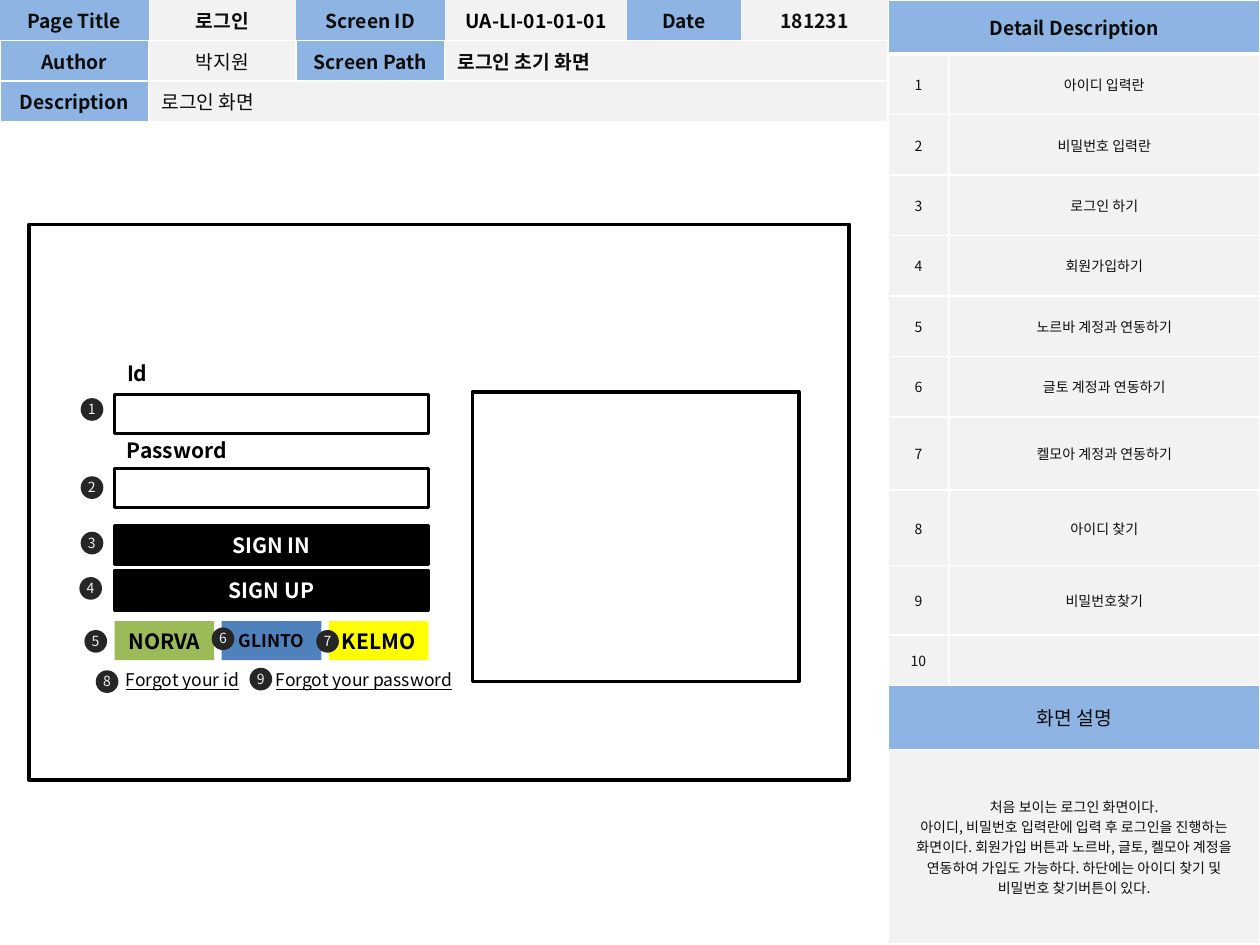
"""Build the storyboard slide that specifies a login screen."""
from lxml import etree
from pptx import Presentation
from pptx import util as u
from pptx.dml.color import RGBColor
from pptx.enum import shapes, text
from pptx.oxml import ns

FONT = "Noto Sans CJK KR"
BLACK = RGBColor(0x00, 0x00, 0x00)
WHITE = RGBColor(0xFF, 0xFF, 0xFF)
INK = RGBColor(0x0D, 0x0D, 0x0D)
BADGE = RGBColor(0x26, 0x26, 0x26)
PALE = RGBColor(0xF2, 0xF2, 0xF2)
HEADER = RGBColor(0x8E, 0xB4, 0xE3)
GREEN = RGBColor(0x9B, 0xBB, 0x59)
BLUE = RGBColor(0x4F, 0x81, 0xBD)
YELLOW = RGBColor(0xFF, 0xFF, 0x00)

CENTER, LEFT = text.PP_ALIGN.CENTER, text.PP_ALIGN.LEFT
NO_TABLE_STYLE = "{2D5ABB26-0587-4C30-8999-92F81FD0307C}"
PANEL_X = 7.05
FORM_X, FORM_W, FIELD_H = 0.91, 2.49, 0.31
BUTTON_W, BUTTON_STEP = 0.79, 0.85

PAGE_INFO = [
    [("Page Title", 1), ("로그인", 1), ("Screen ID", 1),
     ("UA-LI-01-01-01", 1), ("Date", 1), ("181231", 1)],
    [("Author", 1), ("박지원", 1), ("Screen Path", 1), ("로그인 초기 화면", 3)],
    [("Description", 1), ("로그인 화면", 5)],
]
PLAIN_VALUES = ("박지원", "로그인 화면")
DETAILS = ["아이디 입력란", "비밀번호 입력란", "로그인 하기", "회원가입하기",
           "노르바 계정과 연동하기", "글토 계정과 연동하기", "켈모아 계정과 연동하기",
           "아이디 찾기", "비밀번호찾기", ""]
SUMMARY = ("처음 보이는 로그인 화면이다.\n"
           "아이디, 비밀번호 입력란에 입력 후 로그인을 진행하는 화면이다. "
           "회원가입 버튼과 노르바, 글토, 켈모아 계정을 연동하여 가입도 가능하다. "
           "하단에는 아이디 찾기 및 비밀번호 찾기버튼이 있다.")
BADGES = [(0.64, 3.16), (0.64, 3.78), (0.64, 4.22), (0.63, 4.58), (0.67, 5),
          (1.68, 4.98), (2.51, 5), (0.76, 5.32), (1.98, 5.3)]


def write(frame, words, size, color=BLACK, bold=False, align=LEFT, underline=None):
    """Put formatted words in a text frame."""
    frame.text = words
    for paragraph in frame.paragraphs:
        paragraph.alignment = align
        for run in paragraph.runs:
            font = run.font
            font.size, font.bold, font.underline = u.Pt(size), bold, underline
            font.name, font.color.rgb = FONT, color
            east_asian = etree.SubElement(font._element, ns.qn("a:ea"))
            east_asian.set("typeface", FONT)
        if not paragraph.runs:
            end = etree.SubElement(paragraph._p, ns.qn("a:endParaRPr"))
            end.set("sz", str(size * 100))


def add_border(cell, sides, points):
    """Draw white lines on the named sides of a cell."""
    properties = cell._tc.get_or_add_tcPr()
    for index, side in enumerate(sides):
        line = etree.Element(ns.qn(f"a:ln{side}"), w=str(u.Pt(points)))
        fill = etree.SubElement(line, ns.qn("a:solidFill"))
        etree.SubElement(fill, ns.qn("a:srgbClr"), val=str(WHITE))
        properties.insert(index, line)


def add_grid(slide, x, widths, heights):
    """Add an unstyled table with the given columns and rows."""
    table = slide.shapes.add_table(
        len(heights), len(widths), u.Inches(x), 0,
        u.Inches(sum(widths)), u.Inches(sum(heights))).table
    table._tbl.tblPr[0].text = NO_TABLE_STYLE
    table.first_row = table.horz_banding = False
    for column, width in zip(table.columns, widths):
        column.width = u.Inches(width)
    for row, height in zip(table.rows, heights):
        row.height = u.Inches(height)
    return table


def fill_cell(table, row, col, words, fill, size, span=1, sides="LRTB", **style):
    """Merge, fill, border and write one table cell."""
    cell = table.cell(row, col)
    if span > 1:
        cell.merge(table.cell(row, col + span - 1))
    for part in range(col, col + span):
        piece = table.cell(row, part)
        piece.fill.solid()
        piece.fill.fore_color.rgb = fill
        add_border(piece, sides, 1)
    cell.vertical_anchor = text.MSO_ANCHOR.MIDDLE
    write(cell.text_frame, words, size, **style)


def add_page_info(slide):
    """Add the table of page details across the top."""
    table = add_grid(slide, 0, [1.18, 1.17, 1.18, 1.45, 0.9, 1.17], [0.31, 0.32, 0.32])
    for row, entries in enumerate(PAGE_INFO):
        for col, (words, span) in enumerate(entries):
            fill_cell(table, row, col, words, PALE if col % 2 else HEADER, 11, span,
                      sides="LRTB" if row else "B",
                      color=BLACK if words.startswith("UA-") else INK,
                      bold=words not in PLAIN_VALUES,
                      align=LEFT if span > 1 else CENTER)


def add_details(slide):
    """Add the numbered description panel on the right."""
    heights = [0.43] + [0.48] * 6 + [0.58, 0.6, 0.55, 0.4, 0.51, 1.54]
    table = add_grid(slide, PANEL_X, [0.48, 2.47], heights)
    style = {"color": INK, "align": CENTER}
    fill_cell(table, 0, 0, "Detail Description", HEADER, 11, 2, sides="LRT", bold=True, **style)
    for col in range(2):
        add_border_below = table.cell(0, col)
        properties = add_border_below._tc.get_or_add_tcPr()
        line = etree.Element(ns.qn("a:lnB"), w=str(u.Pt(3)))
        fill = etree.SubElement(line, ns.qn("a:solidFill"))
        etree.SubElement(fill, ns.qn("a:srgbClr"), val=str(WHITE))
        properties.insert(3, line)
    for number, words in enumerate(DETAILS, 1):
        fill_cell(table, number, 0, str(number), PALE, 8, **style)
        fill_cell(table, number, 1, words, PALE, 8, sides="LRTB", **style)
    fill_cell(table, 11, 0, "화면 설명", HEADER, 11, 2, **style)
    fill_cell(table, 12, 0, SUMMARY, PALE, 8, 2, **style)


def add_box(parent, x, y, w, h, fill=None, outlined=True, kind=shapes.MSO_SHAPE.RECTANGLE):
    """Add a flat shape with an optional fill and black outline."""
    box = parent.shapes.add_shape(kind, *map(u.Inches, (x, y, w, h)))
    box.shadow.inherit = False
    if fill is None:
        box.fill.background()
    else:
        box.fill.solid()
        box.fill.fore_color.rgb = fill
    if outlined:
        box.line.color.rgb, box.line.width = BLACK, u.Pt(2)
    else:
        box.line.fill.background()
    return box


def add_button(slide, x, y, w, words, fill, size=12, color=BLACK, outlined=False):
    """Add a filled button with a bold centred caption."""
    frame = add_box(slide, x, y, w, FIELD_H, fill, outlined).text_frame
    frame.vertical_anchor = text.MSO_ANCHOR.MIDDLE
    write(frame, words, size, color, bold=True, align=CENTER)


def add_label(parent, x, y, w, h, words, size, wrap=True, **style):
    """Add a text box that grows with its words."""
    frame = parent.shapes.add_textbox(*map(u.Inches, (x, y, w, h))).text_frame
    frame.word_wrap = wrap
    frame.auto_size = text.MSO_AUTO_SIZE.SHAPE_TO_FIT_TEXT
    write(frame, words, size, **style)


def add_badge(slide, number, x, y):
    """Add a numbered round marker."""
    group = slide.shapes.add_group_shape()
    add_box(group, x, y, 0.18, 0.18, BADGE, False, shapes.MSO_SHAPE.OVAL)
    add_label(group, x - 0.04, y - 0.03, 0.26, 0.24, str(number), 8, wrap=False, color=PALE)


def add_login_form(slide):
    """Add the wireframe of the login screen."""
    add_box(slide, 0.23, 1.78, 6.51, 4.41)
    for y in (3.13, 3.72):
        add_box(slide, FORM_X, y, FORM_W, FIELD_H)
    for words, y in (("SIGN IN", 4.17), ("SIGN UP", 4.53)):
        add_button(slide, FORM_X, y, FORM_W, words, BLACK, color=WHITE, outlined=True)
    providers = [("NORVA", GREEN, 12), ("GLINTO", BLUE, 10), ("KELMO", YELLOW, 12)]
    for index, (words, fill, size) in enumerate(providers):
        add_button(slide, FORM_X + index * BUTTON_STEP, 4.93, BUTTON_W, words, fill, size)
    add_label(slide, FORM_X, 2.81, 0.39, 0.3, "Id", 12, bold=True)
    add_label(slide, FORM_X, 3.42, 1.26, 0.3, "Password", 12, bold=True)
    add_label(slide, 0.9, 5.26, 1.19, 0.27, "Forgot your id", 10, underline=True)
    add_label(slide, 2.09, 5.26, 1.65, 0.27, "Forgot your password", 10, underline=True)
    add_box(slide, 3.75, 3.11, 2.59, 2.3)


def main():
    """Assemble and save the slide."""
    deck = Presentation()
    deck.slide_width, deck.slide_height = u.Inches(10), u.Inches(7.5)
    slide = deck.slides.add_slide(deck.slide_layouts[6])
    add_page_info(slide)
    add_details(slide)
    add_login_form(slide)
    for number, (x, y) in enumerate(BADGES, 1):
        add_badge(slide, number, x, y)
    deck.save("out.pptx")


if __name__ == "__main__":
    main()
